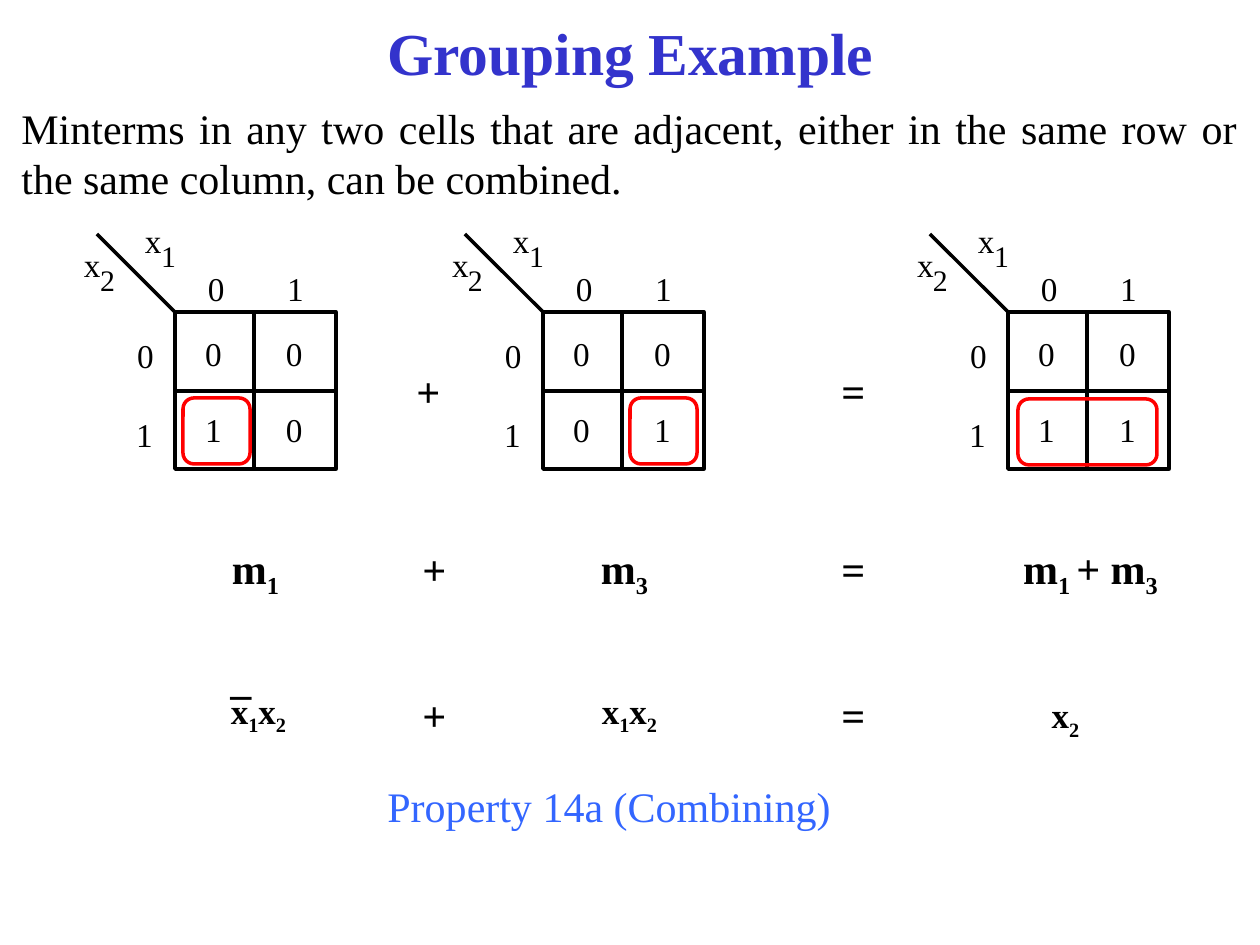
import pptx
import pptx.util
import pptx.dml.color
import pptx.enum.shapes
import pptx.enum.text
import pptx.oxml.ns
import lxml.etree

RGBColor = pptx.dml.color.RGBColor
SHAPE = pptx.enum.shapes.MSO_SHAPE
ALIGN = pptx.enum.text.PP_ALIGN

BLACK = RGBColor(0, 0, 0)
WHITE = RGBColor(255, 255, 255)
RED = RGBColor(255, 0, 0)
TITLE_BLUE = RGBColor(0x33, 0x33, 0xCC)
NOTE_BLUE = RGBColor(0x33, 0x66, 0xFF)
PX_PER_INCH = 126


def px(length):
    return pptx.util.Emu(round(length * 914400 / PX_PER_INCH))


class SlideBuilder:
    font = "Times New Roman"
    line_width = pptx.util.Pt(2)

    def __init__(self, slide):
        self.slide = slide

    def add_runs(self, paragraph, pieces, size, color, bold):
        for index, piece in enumerate(pieces):
            run = paragraph.add_run()
            run.text = piece
            run.font.name = self.font
            run.font.size = pptx.util.Pt(size)
            run.font.bold = bold
            run.font.color.rgb = color
            if index % 2:
                run._r.get_or_add_rPr().set("baseline", "-25000")

    def title(self, wording, left, top, width, height):
        heading = self.slide.shapes.title
        heading.left, heading.top = px(left), px(top)
        heading.width, heading.height = px(width), px(height)
        heading.text_frame.vertical_anchor = pptx.enum.text.MSO_ANCHOR.MIDDLE
        paragraph = heading.text_frame.paragraphs[0]
        paragraph.alignment = ALIGN.CENTER
        self.add_runs(paragraph, [wording], 34, TITLE_BLUE, True)

    def text(self, pieces, left, top, width, height, size=24, color=BLACK,
             bold=False, align=ALIGN.LEFT, wrap=True, inset=True):
        box = self.slide.shapes.add_textbox(px(left), px(top), px(width), px(height))
        frame = box.text_frame
        frame.word_wrap = wrap
        frame.auto_size = pptx.enum.text.MSO_AUTO_SIZE.SHAPE_TO_FIT_TEXT
        if not inset:
            frame.margin_left = frame.margin_right = 0
            frame.margin_top = frame.margin_bottom = 0
        paragraph = frame.paragraphs[0]
        paragraph.alignment = align
        self.add_runs(paragraph, pieces, size, color, bold)

    def label(self, symbol, left, top, size=19):
        self.text([symbol], left, top, 20, 40, size, wrap=False, inset=False)

    def variable(self, index, left, top):
        self.label("x", left, top)
        self.label(index, left + 16, top + 18, 17)

    def shape(self, preset, left, top, width, height, line, fill=None):
        outline = self.slide.shapes.add_shape(
            preset, px(left), px(top), px(width), px(height))
        outline.shadow.inherit = False
        if fill is None:
            outline.fill.background()
        else:
            outline.fill.solid()
            outline.fill.fore_color.rgb = fill
        outline.line.color.rgb = line
        outline.line.width = self.line_width

    def line(self, x1, y1, x2, y2):
        rule = self.slide.shapes.add_connector(
            pptx.enum.shapes.MSO_CONNECTOR.STRAIGHT, px(x1), px(y1), px(x2), px(y2))
        rule.line.color.rgb = BLACK
        rule.line.width = self.line_width
        lxml.etree.SubElement(rule._element.spPr, pptx.oxml.ns.qn("a:effectLst"))

    def karnaugh_map(self, left, top, rows):
        self.shape(SHAPE.RECTANGLE, left, top, 161, 157, BLACK, WHITE)
        self.line(left, top + 79, left + 161, top + 79)
        self.line(left + 79, top, left + 79, top + 157)
        self.line(left - 78, top - 78, left, top)
        self.variable("2", left - 91, top - 68)
        self.variable("1", left - 30, top - 92)
        for index, row in enumerate(rows):
            self.label(str(index), left + 33 + 79 * index, top - 44)
            self.label(str(index), left - 38 - index, top + 23 + 79 * index)
            for column, value in enumerate(row):
                self.label(value, left + 30 + 81 * column, top + 21 + 76 * index)

    def group_ring(self, left, top, width):
        self.shape(SHAPE.ROUNDED_RECTANGLE, left, top, width, 66, RED)

    def operator(self, sign, left, top):
        self.text([sign], left, top, 37, 64, bold=True)

    def term(self, pieces, left, top, size):
        self.text(pieces, left, top, 213, 64 if size == 24 else 55, size,
                  bold=True, align=ALIGN.CENTER)


def main():
    deck = pptx.Presentation()
    deck.slide_width, deck.slide_height = px(1260), px(945)
    page = SlideBuilder(deck.slides.add_slide(deck.slide_layouts[5]))

    page.title("Grouping Example", 32, 10, 1197, 84)
    page.text(["Minterms in any two cells that are adjacent, either in the same row "
               "or the same column, can be combined."],
              9, 96, 1241, 115, align=ALIGN.JUSTIFY)

    for left, rows in ((175, ("00", "10")), (543, ("00", "01")), (1008, ("00", "11"))):
        page.karnaugh_map(left, 312, rows)
    for left, top, width in ((183, 398, 67), (630, 398, 67), (1018, 399, 139)):
        page.group_ring(left, top, width)

    for plus_left, top in ((404, 359), (410, 537), (410, 683)):
        page.operator("+", plus_left, top)
        page.operator("=", 829, top)

    for pieces, left, top, size in (
        (["m", "1"], 149, 536, 24),
        (["m", "3"], 518, 536, 24),
        (["m", "1 ", "+ m", "3"], 984, 536, 24),
        (["x", "1", "x", "2"], 152, 683, 20),
        (["x", "1", "x", "2"], 523, 683, 20),
        (["x", "2"], 959, 687, 20),
    ):
        page.term(pieces, left, top, size)
    page.text(["_"], 218, 646, 44, 64, bold=True)

    page.text(["Property 14a (Combining)"], 375, 774, 473, 64,
              color=NOTE_BLUE, wrap=False)
    deck.save("out.pptx")


if __name__ == "__main__":
    main()
